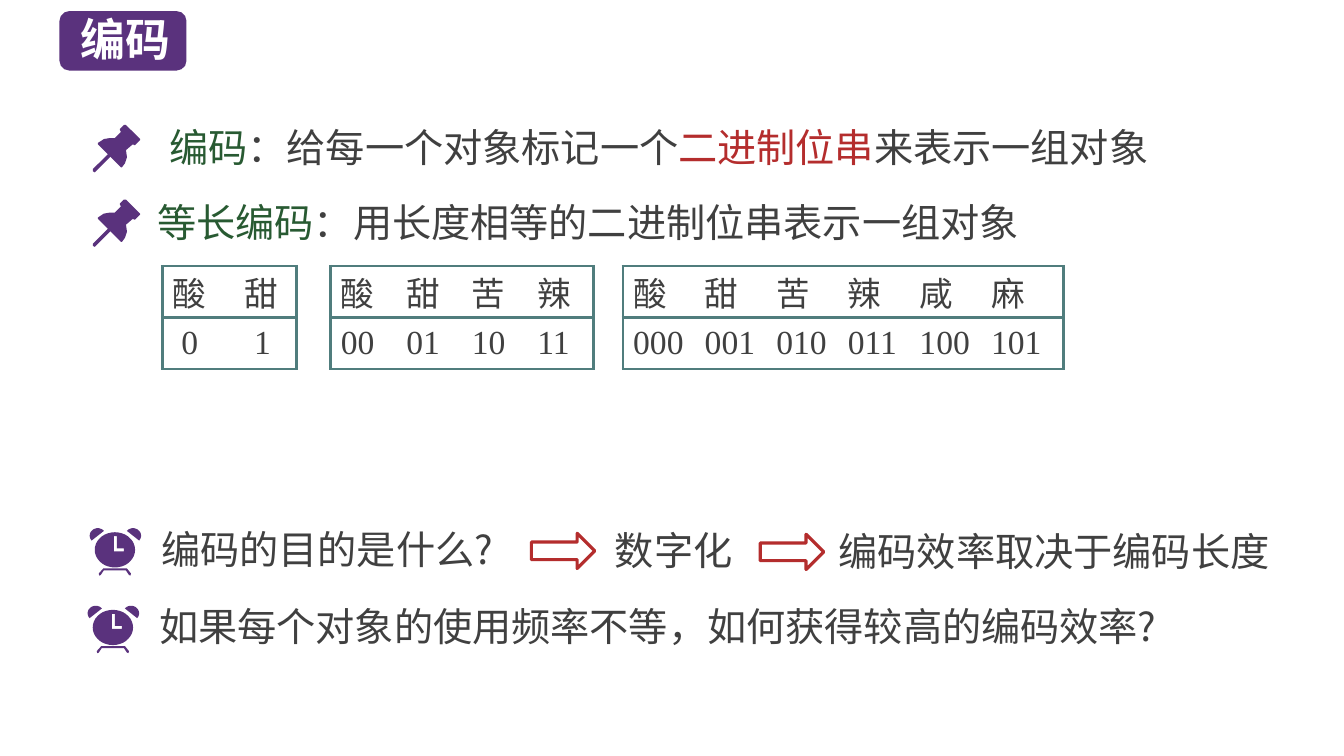
from math import cos, radians, sin

from lxml import etree
from pptx import Presentation
from pptx.dml.color import RGBColor
from pptx.enum.shapes import MSO_SHAPE
from pptx.enum.text import MSO_ANCHOR
from pptx.oxml.ns import qn
from pptx.util import Inches, Pt

ROUNDED = MSO_SHAPE.ROUNDED_RECTANGLE
RIGHT_ARROW = MSO_SHAPE.RIGHT_ARROW
MIDDLE = MSO_ANCHOR.MIDDLE

SANS = "Noto Sans CJK SC"
SERIF = "Times New Roman"
PURPLE, GREEN, RED = "5A327D", "285A32", "B42D2D"
TEAL, GREY, WHITE = "507D7D", "404040", "FFFFFF"

PIN_HEAD = [(470, 150), (330, 10), (310, 10), (270, 50), (270, 60), (280, 80),
            (220, 140), (170, 140), (110, 150), (50, 190), (50, 200), (280, 430),
            (290, 430), (320, 390), (340, 330), (330, 260), (400, 200), (410, 210),
            (420, 210), (470, 160)]
PIN_NEEDLE = [(20, 480), (0, 470), (0, 450), (160, 290), (180, 290), (180, 320), (30, 470)]
CLOCK_LEGS = [(410, 450), (370, 400), (135, 400), (90, 450), (95, 470), (110, 465),
              (140, 420), (360, 420), (390, 465), (405, 470)]
CLOCK_HANDS = [(240, 80), (270, 80), (270, 200), (340, 200), (340, 230), (240, 230)]
CLOCK_WIDTH = 510


def colour(code):
    return RGBColor.from_string(code)


def apply(target, values):
    for name, value in values.items():
        setattr(target, name, value)


def write(para, spans, size, font, bold=False):
    for text, code in spans:
        span = para.add_run()
        span.text = text
        apply(span.font, {"size": Pt(size), "bold": bold, "name": font})
        span.font.color.rgb = colour(code)
        etree.SubElement(span.font._element, qn("a:ea"), typeface=SANS)


def add_text(page, left, top, width, height, spans, size=28, font=SANS,
             bold=False, inset=0.1, spacing=None):
    box = page.shapes.add_textbox(Inches(left), Inches(top), Inches(width), Inches(height))
    apply(box.text_frame, {"word_wrap": True, "margin_left": Inches(inset),
                           "margin_right": Inches(inset)})
    para = box.text_frame.paragraphs[0]
    if spacing:
        para.line_spacing = Pt(spacing)
    write(para, spans, size, font, bold)


def add_outline(page, left, top, *contours):
    first, *others = contours
    builder = page.shapes.build_freeform(*first[0], scale=Inches(0.001))
    builder.add_line_segments(first[1:], close=True)
    for contour in others:
        builder.move_to(*contour[0])
        builder.add_line_segments(contour[1:], close=True)
    shape = builder.convert_to_shape(Inches(left), Inches(top))
    shape.shadow.inherit = False
    shape.fill.solid()
    shape.fill.fore_color.rgb = colour(PURPLE)
    shape.line.fill.background()


def arc(centre_x, centre_y, radius_x, radius_y, start, stop):
    return [(centre_x + radius_x * cos(radians(angle)),
             centre_y + radius_y * sin(radians(angle)))
            for angle in range(start, stop, 10)]


def add_pin(page, left, top):
    add_outline(page, left, top, PIN_HEAD)
    add_outline(page, left, top, PIN_NEEDLE)


def add_clock(page, left, top):
    left_bell = arc(80, 75, 80, 75, 140, 330)
    right_bell = [(CLOCK_WIDTH - x, y) for x, y in left_bell]
    face = arc(250, 215, 200, 175, 0, 360)
    for contour in (CLOCK_LEGS, left_bell, right_bell):
        add_outline(page, left, top, contour)
    add_outline(page, left, top, face, CLOCK_HANDS)


def add_title(page, left, top, width, height, text):
    badge = page.shapes.add_shape(ROUNDED, Inches(left), Inches(top),
                                  Inches(width), Inches(height))
    badge.shadow.inherit = False
    badge.fill.solid()
    badge.fill.fore_color.rgb = colour(PURPLE)
    badge.line.fill.background()
    add_text(page, left + 0.11, top - 0.04, width - 0.06, height + 0.05,
             [(text, WHITE)], size=32, bold=True)


def add_definition(page, left, top, text_left, spans):
    add_pin(page, left, top + 0.14)
    add_text(page, text_left, top, 12.47 - text_left, 0.61, spans,
             font=SERIF, inset=0, spacing=40)


def set_borders(cell, first, last):
    properties = cell._tc.get_or_add_tcPr()
    visible = {"lnL": first, "lnR": last, "lnT": True, "lnB": True}
    for index, (side, shown) in enumerate(visible.items()):
        border = etree.Element(qn(f"a:{side}"), w=str(Pt(2.25)))
        if shown:
            fill = etree.SubElement(border, qn("a:solidFill"))
            etree.SubElement(fill, qn("a:srgbClr"), val=TEAL)
        else:
            etree.SubElement(border, qn("a:noFill"))
        properties.insert(index, border)


def add_code_table(page, left, top, width, pitch, code_inset, flavours):
    count = len(flavours)
    bits = (count - 1).bit_length()
    codes = [format(number, f"0{bits}b") for number in range(count)]
    table = page.shapes.add_table(2, count, Inches(left), Inches(top),
                                  Inches(width), Inches(1.02)).table
    apply(table, {"first_row": False, "horz_banding": False})
    for column in range(count):
        last = column == count - 1
        table.columns[column].width = Inches(width - pitch * column if last else pitch)
        for row, (text, inset) in enumerate([(flavours[column], 0.1),
                                             (codes[column], code_inset)]):
            cell = table.cell(row, column)
            apply(cell, {"margin_left": Inches(inset), "margin_right": 0, "margin_top": 0,
                         "margin_bottom": 0, "vertical_anchor": MIDDLE})
            cell.fill.background()
            set_borders(cell, column == 0, last)
            write(cell.text_frame.paragraphs[0], [(text, GREY)], 24, SERIF)


def add_question(page, left, top, width, text):
    add_clock(page, left, top + 0.08)
    add_text(page, left + 0.61, top, width, 0.57, [(text, GREY)])


def add_answer(page, left, top, text_left, width, text):
    arrow = page.shapes.add_shape(RIGHT_ARROW, Inches(left), Inches(top + 0.12),
                                  Inches(0.63), Inches(0.35))
    arrow.shadow.inherit = False
    arrow.fill.background()
    arrow.line.color.rgb = colour(RED)
    arrow.line.width = Pt(2.25)
    add_text(page, text_left, top, width, 0.57, [(text, GREY)])


def main():
    deck = Presentation()
    apply(deck, {"slide_width": Inches(13.33), "slide_height": Inches(7.5)})
    page = deck.slides.add_slide(deck.slide_layouts[6])

    add_title(page, 0.59, 0.11, 1.26, 0.59, "编码")
    add_definition(page, 0.92, 1.09, 1.68, [
        ("编码", GREEN), ("：给每一个对象标记一个", GREY),
        ("二进制位串", RED), ("来表示一组对象", GREY)])
    add_definition(page, 0.92, 1.83, 1.56, [
        ("等长编码", GREEN), ("：用长度相等的二进制位串表示一组对象", GREY)])

    for left, width, pitch, code_inset, flavours in [
            (1.61, 1.33, 0.72, 0.19, "酸甜"),
            (3.28, 2.61, 0.65, 0.1, "酸甜苦辣"),
            (6.18, 4.37, 0.71, 0.1, "酸甜苦辣咸麻")]:
        add_code_table(page, left, 2.64, width, pitch, code_inset, flavours)

    add_question(page, 0.89, 5.16, 3.77, "编码的目的是什么?")
    add_answer(page, 5.27, 5.17, 6, 1.59, "数字化")
    add_answer(page, 7.54, 5.18, 8.22, 4.6, "编码效率取决于编码长度")
    add_question(page, 0.87, 5.93, 10.35, "如果每个对象的使用频率不等，如何获得较高的编码效率?")
    deck.save("out.pptx")


if __name__ == "__main__":
    main()
